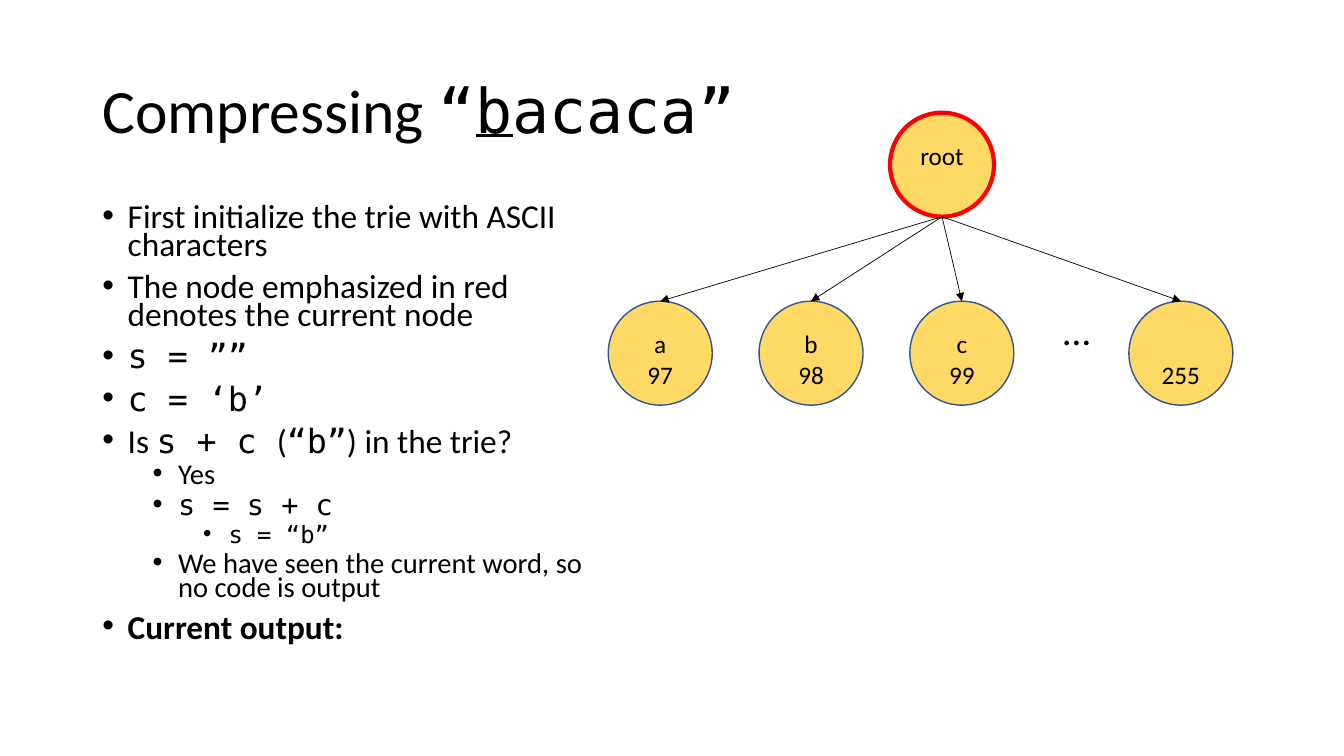
from pptx import Presentation
from pptx.dml.color import RGBColor
from pptx.enum.shapes import MSO_CONNECTOR, MSO_SHAPE
from pptx.enum.text import MSO_ANCHOR, PP_ALIGN
from pptx.oxml.ns import qn
from pptx.util import Cm, Pt
from lxml import etree

OVAL, STRAIGHT = MSO_SHAPE.OVAL, MSO_CONNECTOR.STRAIGHT
TOP, MIDDLE, BOTTOM = MSO_ANCHOR.TOP, MSO_ANCHOR.MIDDLE, MSO_ANCHOR.BOTTOM
LEFT, CENTER = PP_ALIGN.LEFT, PP_ALIGN.CENTER

THEME = {
    "sans": "Calibri", "mono": "DejaVu Sans Mono",
    "text": "000000", "node": "FFD966", "edge": "325491", "current": "FF0000",
    "title": 44, "levels": [23.8, 20.4, 17], "label": 18, "dots": 28,
}

# A run is (text, style); style letters: m = mono, u = underlined, b = bold
TITLE = [("Compressing ", ""), ("“", "m"), ("b", "mu"), ("acaca”", "m")]
BODY = [  # (level, runs)
    (0, [("First initialize the trie with ASCII characters", "")]),
    (0, [("The node emphasized in red denotes the current node", "")]),
    (0, [("s = ””", "m")]),
    (0, [("c = ‘b’", "m")]),
    (0, [("Is ", ""), ("s + c ", "m"), ("(", ""), ("“b”", "m"), (") in the trie?", "")]),
    (1, [("Yes", "")]),
    (1, [("s = s + c", "m")]),
    (2, [("s = “b”", "m")]),
    (1, [("We have seen the current word, so no code is output", "")]),
    (0, [("Current output:", "b")]),
]
CHILDREN = [  # (left in cm, label lines)
    (15.33, ["a", "97"]),
    (19.13, ["b", "98"]),
    (22.93, ["c", "99"]),
    (28.45, ["255"]),
]
ROOT_LEFT, ROOT_TOP, CHILD_TOP, NODE = 22.43, 2.84, 7.59, 2.62


def rgb(name):
    return RGBColor.from_string(THEME[name])


def add_runs(p, runs, size):
    for text, style in runs:
        r = p.add_run()
        r.text = text
        font = {"name": THEME["mono" if "m" in style else "sans"], "size": Pt(size),
                "bold": "b" in style, "underline": "u" in style}
        for key, value in font.items():
            setattr(r.font, key, value)
        r.font.color.rgb = rgb("text")


def add_text(s, box, paragraphs, anchor=TOP, align=CENTER):
    """Add a text box; each paragraph is (runs, size, paragraph format)."""
    tf = s.shapes.add_textbox(*map(Cm, box)).text_frame
    tf.word_wrap, tf.vertical_anchor = True, anchor
    for i, (runs, size, fmt) in enumerate(paragraphs):
        p = tf.add_paragraph() if i else tf.paragraphs[0]
        for key, value in {"alignment": align, **fmt}.items():
            setattr(p, key, value)
        add_runs(p, runs, size)
    return tf


def add_bullet(p):
    pPr = p._p.get_or_add_pPr()
    pPr.set("marL", str(Cm(0.64 + 1.27 * p.level)))
    pPr.set("indent", str(-Cm(0.64)))
    etree.SubElement(pPr, qn("a:buFont")).set("typeface", "Arial")
    etree.SubElement(pPr, qn("a:buChar")).set("char", "•")


def add_node(s, left, top, edge, width):
    sp = s.shapes.add_shape(OVAL, Cm(left), Cm(top), Cm(NODE), Cm(NODE))
    sp.shadow.inherit = False
    sp.fill.solid()
    sp.fill.fore_color.rgb = rgb("node")
    sp.line.color.rgb = rgb(edge)
    sp.line.width = Pt(width)
    return sp


def add_arrow(s, parent, child):
    x, y = parent.left + parent.width // 2, parent.top + parent.height
    line = s.shapes.add_connector(STRAIGHT, x, y, x, y)
    line.end_connect(child, 0)
    line.line.color.rgb = rgb("text")
    line.line.width = Pt(0.5)
    etree.SubElement(line.line._get_or_add_ln(), qn("a:tailEnd")).set("type", "triangle")
    etree.SubElement(line._element.spPr, qn("a:effectLst"))


def plain(lines, size):
    return [([(line, "")], size, {}) for line in lines]


def main():
    prs = Presentation()
    prs.slide_width, prs.slide_height = Cm(33.87), Cm(19.05)
    s = prs.slides.add_slide(prs.slide_layouts[6])

    add_text(s, (2.33, 1.01, 29.21, 3.68),
             [(TITLE, THEME["title"], {"line_spacing": 0.9})], MIDDLE, LEFT)
    body = [(runs, THEME["levels"][level],
             {"level": level, "line_spacing": 0.7, "space_before": Pt(5 if level else 10)})
            for level, runs in BODY]
    for p in add_text(s, (2.33, 5.08, 13, 12.09), body, align=LEFT).paragraphs:
        add_bullet(p)

    root = add_node(s, ROOT_LEFT, ROOT_TOP, "current", 3)
    add_text(s, (ROOT_LEFT, 3.4, NODE, 1.52), plain(["root"], THEME["label"]))
    for left, lines in CHILDREN:
        child = add_node(s, left, CHILD_TOP, "edge", 1)
        add_text(s, (left, 8.13, NODE, 1.8), plain(lines, THEME["label"]), BOTTOM)
        add_arrow(s, root, child)
    add_text(s, (25.48, CHILD_TOP, 3.3, 2.16), plain(["…"], THEME["dots"]))

    prs.save("out.pptx")


if __name__ == "__main__":
    main()
